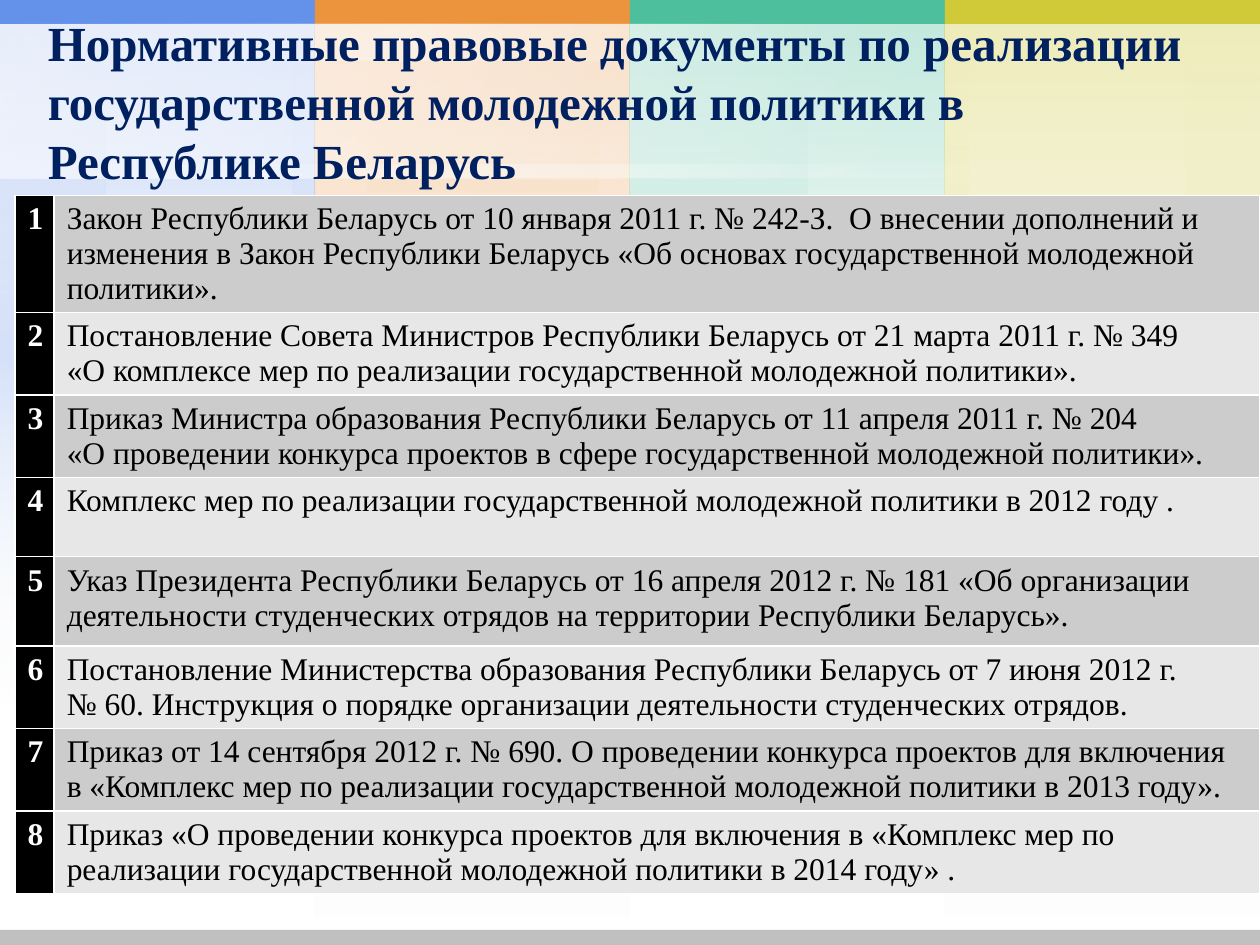
"""Build a slide listing the legal documents on youth policy in Belarus."""
from typing import NamedTuple

import lxml.etree
import pptx
import pptx.dml.color
import pptx.enum.shapes
import pptx.enum.text
import pptx.oxml
import pptx.oxml.ns
import pptx.util

Inches = pptx.util.Inches
FONT = "Times New Roman"
COLORS = {
    "blue": "6491EA", "orange": "EB943D", "green": "4DBF9C", "yellow": "D0C938",
    "white": "FFFFFF", "black": "000000", "navy": "002060", "footer": "C0C0C0",
    "odd": "CCCCCC", "even": "E7E7E7",
}


class Panel(NamedTuple):
    """A gradient rectangle in inches, fading down or glowing in its middle."""
    color: str
    left: float
    top: float
    width: float
    height: float
    glow: bool = False
    opacity: int = 20
    rotation: int = 0


class Document(NamedTuple):
    """A table row with its height in inches."""
    text: str
    height: float


ORANGE_FADE = Panel("orange", 2.5, 0, 2.5, 7.5)
GREEN_FADE = Panel("green", 5, 0, 2.5, 5.62)
YELLOW_FADE = Panel("yellow", 7.5, 0, 2.5, 7.47)
BLUE_FADE = Panel("blue", 0, 0, 2.5, 5.62)
TITLE_FADE = Panel("white", 3.15, -2.95, 1.22, 7.51, False, 35, 270)
PANELS = [
    ORANGE_FADE, Panel("orange", 2.92, 0, 1.83, 7.5, True), ORANGE_FADE,
    GREEN_FADE, Panel("green", 5, 0, 1.41, 5.62, True), GREEN_FADE,
    Panel("yellow", 7.5, 0, 0.19, 6.37, True), YELLOW_FADE,
    Panel("yellow", 9.41, 0, 0.59, 6.37, True), YELLOW_FADE,
    BLUE_FADE, Panel("blue", 2.32, 0, 0.18, 5.62, True),
    Panel("blue", 0, 0, 0.84, 5.62, True), BLUE_FADE,
]
TITLE_PANELS = [
    Panel("white", 4.16, -2.85, 0.1, 8.42, True, 35, 270), TITLE_FADE,
    Panel("white", 3.06, -2.87, 0.29, 6.41, True, 35, 270), TITLE_FADE,
]
TITLE = ("Нормативные правовые документы по реализации государственной "
         "молодежной политики в Республике Беларусь")
DOCUMENTS = [
    Document("Закон Республики Беларусь от 10 января 2011 г. № 242-З.  О внесении дополнений и "
             "изменения в Закон Республики Беларусь «Об основах государственной молодежной "
             "политики».", 0.92),
    Document("Постановление Совета Министров Республики Беларусь от 21 марта 2011 г. № 349 \v"
             "«О комплексе мер по реализации государственной молодежной политики».", 0.65),
    Document("Приказ Министра образования Республики Беларусь от 11 апреля 2011 г. № 204\n"
             "«О проведении конкурса проектов в сфере государственной молодежной политики».", 0.65),
    Document("Комплекс мер по реализации государственной молодежной политики в 2012 году .", 0.63),
    Document("Указ Президента Республики Беларусь от 16 апреля 2012 г. № 181 «Об организации "
             "деятельности студенческих отрядов на территории Республики Беларусь».", 0.71),
    Document("Постановление Министерства образования Республики Беларусь от 7 июня 2012 г.\n"
             "№ 60. Инструкция о порядке организации деятельности студенческих отрядов.", 0.65),
    Document("Приказ от 14 сентября 2012 г. № 690. О проведении конкурса проектов для включения "
             "в «Комплекс мер по реализации государственной молодежной политики в 2013 году».", 0.65),
    Document("Приказ «О проведении конкурса проектов для включения в «Комплекс мер по "
             "реализации государственной молодежной политики в 2014 году» .", 0.65),
]


def rgb(name: str) -> pptx.dml.color.RGBColor:
    """Look up a named colour."""
    return pptx.dml.color.RGBColor.from_string(COLORS[name])


def add_rectangle(slide, left: float, top: float, width: float, height: float, color: str):
    """Add a plain rectangle without outline or shadow."""
    shape = slide.shapes.add_shape(
        pptx.enum.shapes.MSO_SHAPE.RECTANGLE,
        Inches(left), Inches(top), Inches(width), Inches(height))
    shape.shadow.inherit = False
    shape.line.fill.background()
    shape.fill.solid()
    shape.fill.fore_color.rgb = rgb(color)
    return shape


def add_panel(slide, panel: Panel) -> None:
    """Add a rectangle with a transparent gradient."""
    shape = add_rectangle(slide, panel.left, panel.top, panel.width, panel.height, panel.color)
    shape.rotation = panel.rotation
    strong, clear = (panel.color, panel.opacity), ("white", 0)
    stops = [clear, strong, clear] if panel.glow else [strong, clear]
    step = 100000 // (len(stops) - 1)
    stop_xml = "".join(
        f'<a:gs pos="{index * step}"><a:srgbClr val="{COLORS[color]}">'
        f'<a:alpha val="{opacity * 1000}"/></a:srgbClr></a:gs>'
        for index, (color, opacity) in enumerate(stops))
    gradient = pptx.oxml.parse_xml(
        f'<a:gradFill {pptx.oxml.ns.nsdecls("a")} rotWithShape="1"><a:gsLst>{stop_xml}</a:gsLst>'
        '<a:lin ang="5400000" scaled="1"/></a:gradFill>')
    solid = shape.element.spPr.find(pptx.oxml.ns.qn("a:solidFill"))
    solid.getparent().replace(solid, gradient)


def format_title(slide) -> None:
    """Fill the title and bring it in front of the background."""
    title = slide.shapes.title
    title.left, title.top = Inches(0.28), Inches(0.13)
    title.width, title.height = Inches(9.21), Inches(1.34)
    frame = title.text_frame
    frame.text = TITLE
    frame.auto_size = pptx.enum.text.MSO_AUTO_SIZE.NONE
    frame.vertical_anchor = pptx.enum.text.MSO_ANCHOR.MIDDLE
    paragraph = frame.paragraphs[0]
    paragraph.alignment = pptx.enum.text.PP_ALIGN.LEFT
    format_font(paragraph.font, 28, "navy", True)
    slide.shapes.element.append(title.element)


def format_font(font, size: int, color: str, bold: bool) -> None:
    """Set the typeface, size, colour and weight."""
    font.name, font.size, font.bold = FONT, pptx.util.Pt(size), bold
    font.color.rgb = rgb(color)


def fill_cell(cell, text: str, fill: str, color: str, bold: bool) -> None:
    """Write a table cell with white borders."""
    cell.text = text
    for paragraph in cell.text_frame.paragraphs:
        format_font(paragraph.font, 18, color, bold)
    cell.fill.solid()
    cell.fill.fore_color.rgb = rgb(fill)
    properties = cell._tc.get_or_add_tcPr()
    for index, side in enumerate("LRTB"):
        properties.insert(index, pptx.oxml.parse_xml(
            f'<a:ln{side} {pptx.oxml.ns.nsdecls("a")} w="12700"><a:solidFill>'
            f'<a:srgbClr val="{COLORS["white"]}"/></a:solidFill></a:ln{side}>'))


def add_documents(slide) -> None:
    """Add the numbered table of documents."""
    height = sum(document.height for document in DOCUMENTS)
    table = slide.shapes.add_table(
        len(DOCUMENTS), 2, Inches(0.12), Inches(1.55), Inches(9.88), Inches(height)).table
    table.first_row = table.horz_banding = False
    table.columns[0].width, table.columns[1].width = Inches(0.31), Inches(9.57)
    for index, document in enumerate(DOCUMENTS):
        table.rows[index].height = Inches(document.height)
        fill_cell(table.cell(index, 0), str(index + 1), "black", "white", True)
        fill_cell(table.cell(index, 1), document.text, ("odd", "even")[index % 2], "black", False)


def main() -> None:
    """Build and save the presentation."""
    presentation = pptx.Presentation()
    presentation.slide_width, presentation.slide_height = Inches(10), Inches(7.5)
    slide = presentation.slides.add_slide(presentation.slide_layouts[5])
    for panel in PANELS:
        add_panel(slide, panel)
    for index, color in enumerate(("blue", "orange", "green", "yellow")):
        add_rectangle(slide, index * 2.5, 0, 2.5, 0.19, color)
    for panel in TITLE_PANELS:
        add_panel(slide, panel)
    add_rectangle(slide, 0, 7.38, 10, 0.12, "footer")
    format_title(slide)
    add_documents(slide)
    presentation.save("out.pptx")


if __name__ == "__main__":
    main()
